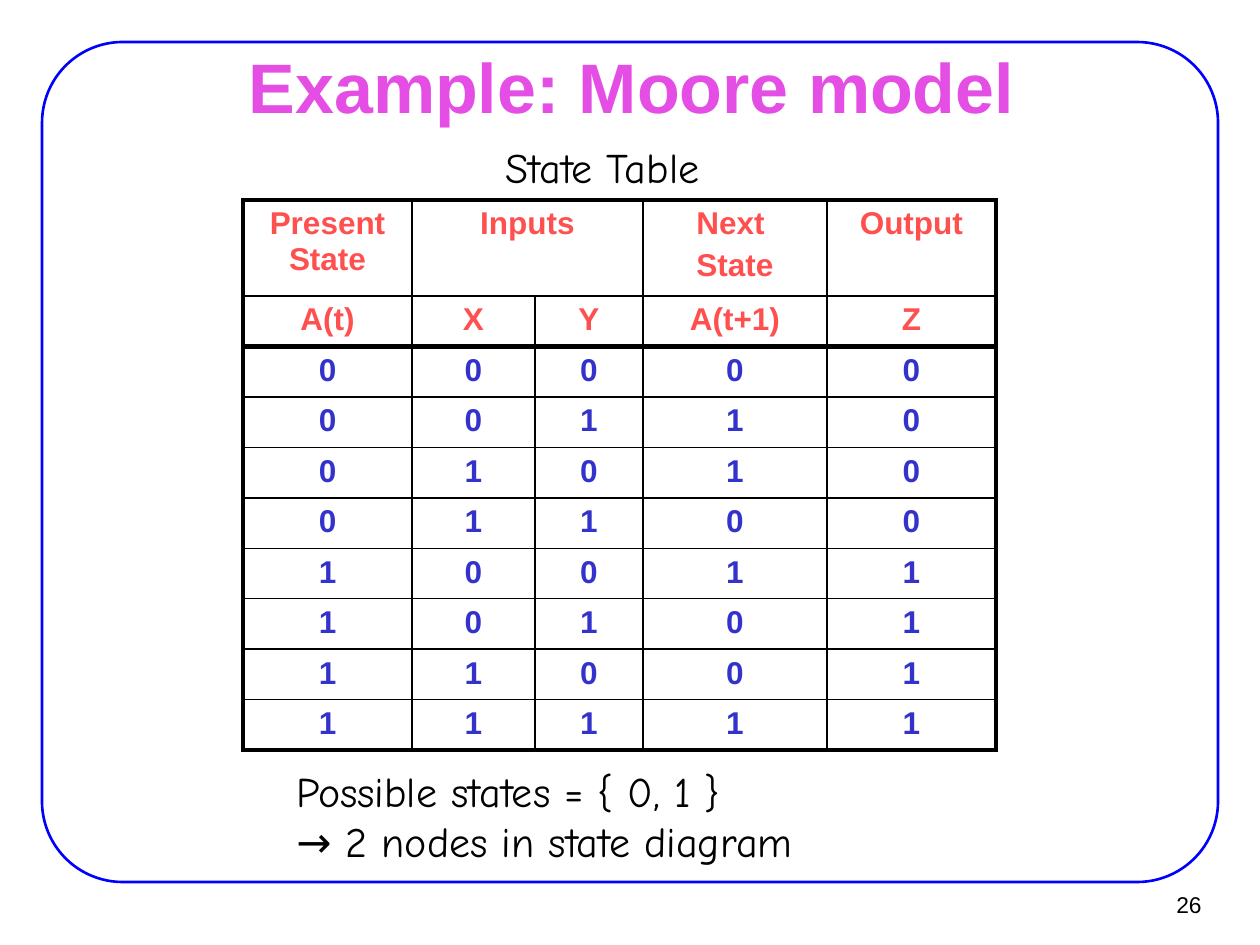
from lxml.etree import SubElement
from pptx import Presentation
from pptx.dml.color import RGBColor
from pptx.enum.shapes import MSO_SHAPE
from pptx.enum.text import MSO_ANCHOR, PP_ALIGN
from pptx.oxml.ns import qn
from pptx.util import Emu, Pt

PIXELS_PER_INCH = 126
BLACK = RGBColor(0x00, 0x00, 0x00)
BLUE = RGBColor(0x00, 0x00, 0xFF)
MAGENTA = RGBColor(0xE4, 0x4E, 0xE4)
CORAL = RGBColor(0xFF, 0x50, 0x50)
INDIGO = RGBColor(0x33, 0x33, 0xCC)

HEADINGS = [
    ["Present State", "Inputs", "", "Next \nState", "Output"],
    ["A(t)", "X", "Y", "A(t+1)", "Z"],
]
STATES = ["00000", "00110", "01010", "01100", "10011", "10101", "11001", "11111"]
COLUMN_WIDTHS = [169, 123, 108, 184, 169]
TOP_ROW_HEIGHT = 96
OTHER_ROWS_HEIGHT = 454
OUTER_LINE, INNER_LINE, HEADING_LINE = 2.25, 1, 3


def px(length):
    """Turn a length in pixels into EMU."""
    return Emu(round(length * 914400 / PIXELS_PER_INCH))


def write_lines(frame, lines, font, size, color, bold=False,
                align=PP_ALIGN.LEFT, gap=0):
    """Write one paragraph per line, with a gap between paragraphs."""
    for index, line in enumerate(lines):
        para = frame.paragraphs[0] if index == 0 else frame.add_paragraph()
        para.text = line
        para.alignment = align
        para.font.name = font
        para.font.size = Pt(size)
        para.font.bold = bold
        para.font.color.rgb = color
        if index:
            para.space_before = Pt(gap)


def add_text(page, bounds, lines, font, size, color,
             anchor=MSO_ANCHOR.TOP, **style):
    """Add a wrapping text box."""
    box = page.shapes.add_textbox(*map(px, bounds))
    box.text_frame.word_wrap = True
    box.text_frame.vertical_anchor = anchor
    write_lines(box.text_frame, lines, font, size, color, **style)


def add_frame(page):
    """Add the rounded outline around the page."""
    frame = page.shapes.add_shape(
        MSO_SHAPE.ROUNDED_RECTANGLE, px(42), px(42), px(1176), px(840))
    frame.adjustments[0] = 0.096
    frame.shadow.inherit = False
    frame.fill.background()
    frame.line.color.rgb = BLUE
    frame.line.width = Pt(1.5)


def set_borders(cell, widths):
    """Draw the left, right, top and bottom borders of a cell."""
    properties = cell._tc.get_or_add_tcPr()
    for side, width in zip("LRTB", widths):
        line = SubElement(properties, qn(f"a:ln{side}"), w=str(Pt(width)))
        fill = SubElement(line, qn("a:solidFill"))
        SubElement(fill, qn("a:srgbClr"), val=str(BLACK))


def add_state_table(page):
    """Add the state table with its two heading rows."""
    rows = HEADINGS + STATES
    row_count, column_count = len(rows), len(COLUMN_WIDTHS)
    table = page.shapes.add_table(
        row_count, column_count, px(243), px(200), px(sum(COLUMN_WIDTHS)),
        px(TOP_ROW_HEIGHT + OTHER_ROWS_HEIGHT)).table
    table.first_row = table.horz_banding = False
    for column, width in zip(table.columns, COLUMN_WIDTHS):
        column.width = px(width)
    for index, row in enumerate(table.rows):
        row.height = px(OTHER_ROWS_HEIGHT / (row_count - 1) if index else TOP_ROW_HEIGHT)
    table.cell(0, 1).merge(table.cell(0, 2))

    across = [OUTER_LINE] + [INNER_LINE] * (column_count - 1) + [OUTER_LINE]
    down = [OUTER_LINE] + [INNER_LINE] * (row_count - 1) + [OUTER_LINE]
    down[len(HEADINGS)] = HEADING_LINE
    for r, row in enumerate(rows):
        color = CORAL if r < len(HEADINGS) else INDIGO
        for c, text in enumerate(row):
            cell = table.cell(r, c)
            set_borders(cell, across[c:c + 2] + down[r:r + 2])
            cell.fill.background()
            if not cell.is_spanned:
                write_lines(cell.text_frame, text.split("\n"), "Arial", 18, color,
                            bold=True, align=PP_ALIGN.CENTER, gap=3.6)


def main():
    """Build the deck and save it."""
    deck = Presentation()
    deck.slide_width, deck.slide_height = px(1260), px(945)
    page = deck.slides.add_slide(deck.slide_layouts[6])
    add_frame(page)
    add_text(page, (1137, 881, 77, 46), ["26"], "Arial", 13, BLACK,
             anchor=MSO_ANCHOR.MIDDLE, align=PP_ALIGN.RIGHT)
    add_text(page, (96, 55, 1071, 62), ["Example: Moore model"], "Arial", 40, MAGENTA,
             anchor=MSO_ANCHOR.MIDDLE, bold=True, align=PP_ALIGN.CENTER)
    add_text(page, (493, 135, 525, 63), ["State Table"], "Comic Neue", 24, BLACK)
    add_state_table(page)
    add_text(page, (284, 759, 693, 130),
             ["Possible states = { 0, 1 }", "→ 2 nodes in state diagram"],
             "Comic Neue", 24, BLACK)
    deck.save("out.pptx")


if __name__ == "__main__":
    main()
